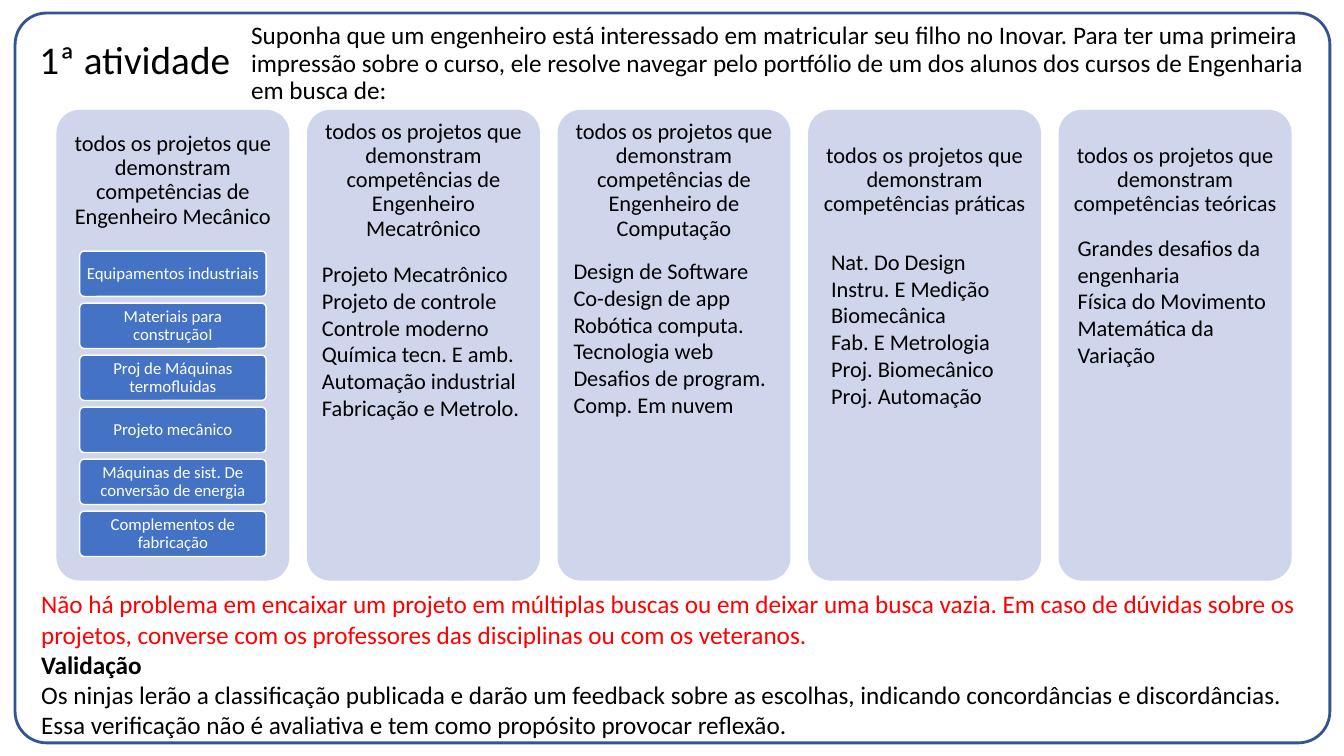
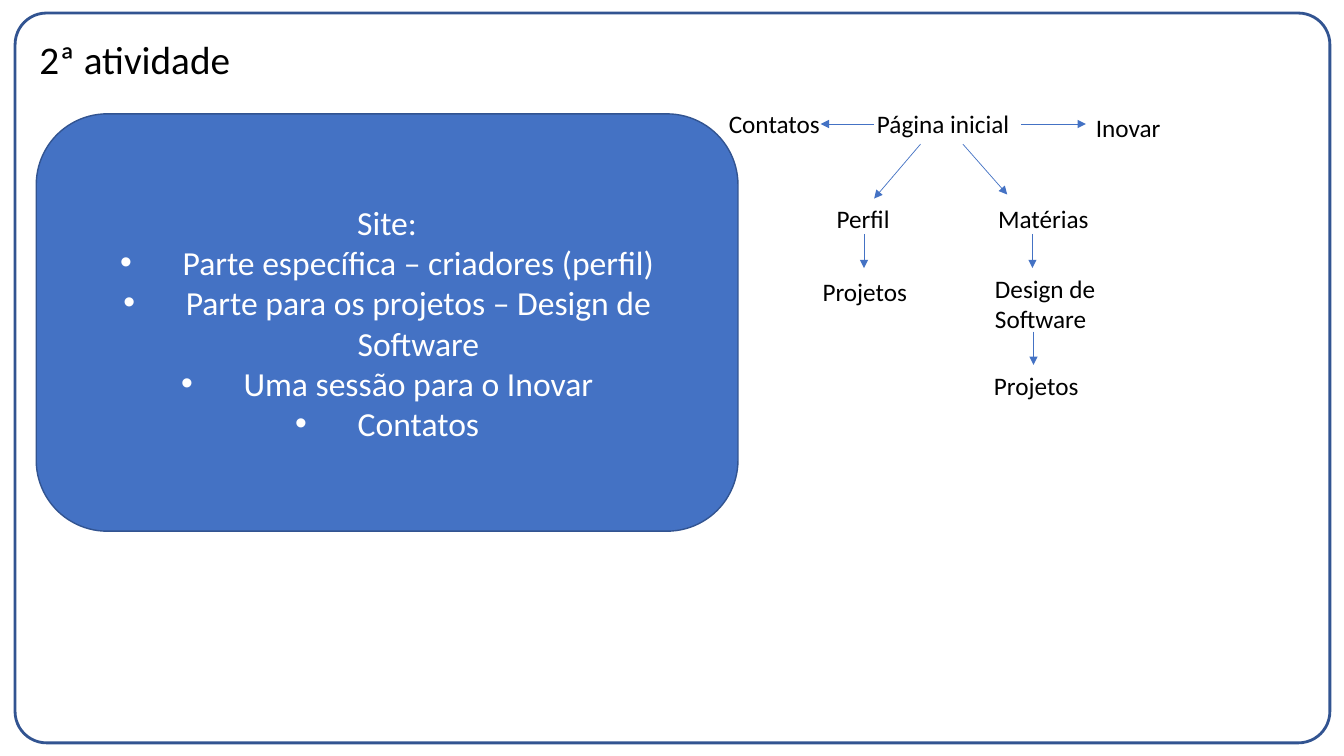
from dataclasses import dataclass
from lxml.etree import SubElement as Sub
from pptx import Presentation
from pptx.dml.color import RGBColor as Rgb
from pptx.enum.shapes import MSO_CONNECTOR as Link, MSO_SHAPE as Form
from pptx.enum.text import MSO_ANCHOR as Anchor, MSO_AUTO_SIZE as Fit, PP_ALIGN as Align
from pptx.oxml.ns import qn
from pptx.util import Inches, Pt


@dataclass(frozen=True)
class Theme:
    font: str = "Calibri"
    ink: Rgb = Rgb(0, 0, 0)
    white: Rgb = Rgb(255, 255, 255)
    red: Rgb = Rgb(255, 0, 0)
    blue: Rgb = Rgb(0x44, 0x72, 0xC4)
    navy: Rgb = Rgb(0x32, 0x54, 0x91)
    pale: Rgb = Rgb(0xCF, 0xD5, 0xEA)
    title: int = 28
    large: int = 24
    text: int = 18
    list: int = 16
    chip: int = 12


T = Theme()

INTRO = ("Suponha que um engenheiro está interessado em matricular seu filho no Inovar. "
         "Para ter uma primeira impressão sobre o curso, ele resolve navegar pelo portfólio "
         "de um dos alunos dos cursos de Engenharia em busca de:")
LEAD = "todos os projetos que demonstram competências "
CHIPS = ["Equipamentos industriais", "Materiais para construçãoI",
         "Proj de Máquinas termofluidas", "Projeto mecânico",
         "Máquinas de sist. De conversão de energia", "Complementos de fabricação"]
CARDS = [
    ("de Engenheiro Mecânico", None, []),
    ("de Engenheiro Mecatrônico", (0.05, 1.44),
     ["Projeto Mecatrônico", "Projeto de controle", "Controle moderno",
      "Química tecn. E amb.", "Automação industrial", "Fabricação e Metrolo."]),
    ("de Engenheiro de Computação", (0.06, 1.41),
     ["Design de Software", "Co-design de app", "Robótica computa.",
      "Tecnologia web", "Desafios de program.", "Comp. Em nuvem"]),
    ("práticas", (0.13, 1.32),
     ["Nat. Do Design", "Instru. E Medição", "Biomecânica",
      "Fab. E Metrologia", "Proj. Biomecânico", "Proj. Automação"]),
    ("teóricas", (0.09, 1.18),
     ["Grandes desafios da engenharia", "Física do Movimento", "Matemática da Variação"]),
]
NOTES = [
    "Não há problema em encaixar um projeto em múltiplas buscas ou em deixar uma busca vazia. "
    "Em caso de dúvidas sobre os projetos, converse com os professores das disciplinas "
    "ou com os veteranos.",
    "Validação",
    "Os ninjas lerão a classificação publicada e darão um feedback sobre as escolhas, indicando "
    "concordâncias e discordâncias. Essa verificação não é avaliativa e tem como propósito "
    "provocar reflexão.",
]
SITE = ["Site:", "Parte específica – criadores (perfil)",
        "Parte para os projetos – Design de Software",
        "Uma sessão para o Inovar", "Contatos"]
NODES = [
    ("Página inicial", 1.47, 0, 2.77, 0.4, True),
    ("Perfil", 1.07, 0.94, 0.73, 0.4, False),
    ("Matérias", 2.67, 0.94, 1.11, 0.4, False),
    ("Design de Software", 2.64, 1.63, 1.61, 0.71, True),
    ("Projetos", 2.63, 2.59, 1.61, 0.4, True),
    ("Projetos", 0.93, 1.66, 1.61, 0.4, True),
    ("Inovar", 3.64, 0.04, 0.84, 0.4, False),
    ("Contatos", 0, 0, 1.11, 0.4, False),
]
ARROWS = [
    (2, 0.4, 1.54, 0.94), (2.42, 0.4, 2.86, 0.9), (3.11, 1.29, 3.11, 1.63),
    (3.12, 2.26, 3.12, 2.59), (1.44, 1.29, 1.44, 1.63),
    (3, 0.2, 3.64, 0.2), (1.54, 0.2, 1.01, 0.2),
]


def place(shape, box):
    shape.left, shape.top, shape.width, shape.height = map(Inches, box)


def write(frame, lines, size, color, align=Align.LEFT, anchor=Anchor.TOP, pad=None, lead=None):
    frame.vertical_anchor = anchor
    if pad is not None:
        frame.margin_left = frame.margin_right = Inches(pad)
        frame.margin_top = frame.margin_bottom = Inches(pad)
    for i, line in enumerate(lines):
        para = frame.add_paragraph() if i else frame.paragraphs[0]
        para.text = line
        para.alignment = align
        para.line_spacing = lead
        para.font.name = T.font
        para.font.size = Pt(size)
        para.font.color.rgb = color
    return frame.paragraphs


def label(slide, box, lines, size, wrap=True, **style):
    shape = slide.shapes.add_textbox(*map(Inches, box))
    shape.text_frame.word_wrap = wrap
    if not wrap:
        shape.text_frame.auto_size = Fit.SHAPE_TO_FIT_TEXT
    return write(shape.text_frame, lines, size, T.ink, **style)


def panel(slide, box, fill, line=None, width=1, curve=0.1):
    shape = slide.shapes.add_shape(Form.ROUNDED_RECTANGLE, *map(Inches, box))
    shape.shadow.inherit = False
    shape.adjustments[0] = curve
    if fill is None:
        shape.fill.background()
    else:
        shape.fill.solid()
        shape.fill.fore_color.rgb = fill
    if line is None:
        shape.line.fill.background()
    else:
        shape.line.color.rgb = line
        shape.line.width = Pt(width)
    return shape


def bullet(para, sign=None, indent=0):
    props = para._p.get_or_add_pPr()
    props.set("marL", str(Inches(indent)))
    props.set("indent", str(-Inches(indent)))
    if sign:
        marks = [Sub(props, qn("a:buFont"), typeface="Arial"),
                 Sub(props, qn("a:buChar"), char=sign)]
    else:
        marks = [Sub(props, qn("a:buNone"))]
    base = props.find(qn("a:defRPr"))
    for mark in marks:
        base.addprevious(mark)


def arrow(slide, x1, y1, x2, y2):
    line = slide.shapes.add_connector(Link.STRAIGHT, *map(Inches, (x1, y1, x2, y2)))
    line.line.color.rgb = T.blue
    line.line.width = Pt(0.5)
    Sub(line.line._get_or_add_ln(), qn("a:tailEnd"), type="triangle")
    Sub(line.element.spPr, qn("a:effectLst"))


def border(deck, slide):
    frame = panel(slide, (0.15, 0.13, 13.04, 7.24), None, T.navy, 2, 0.043)
    frame.element.nvSpPr.cNvPr.set("id", "99")
    deck.slide_master.shapes.element.insert(2, frame.element)


def start(deck, kind, title):
    slide = deck.slides.add_slide(deck.slide_layouts[kind])
    head = slide.shapes.title
    place(head, (0.29, -0.11, 11.5, 1.45))
    write(head.text_frame, [title], T.title, T.ink, anchor=Anchor.MIDDLE, lead=0.9)
    return slide


def intro(slide, box):
    body = slide.placeholders[1]
    place(body, box)
    para, = write(body.text_frame, [INTRO], T.text, T.ink, lead=0.9)
    para.space_before = Pt(10)
    bullet(para)


def chips(slide, box):
    x, y, w, h = box
    tall = 0.45
    step = (h - tall) / (len(CHIPS) - 1)
    for i, name in enumerate(CHIPS):
        chip = panel(slide, (x, y + i * step, w, tall), T.blue, T.white)
        write(chip.text_frame, [name], T.chip, T.white, Align.CENTER, Anchor.MIDDLE, 0.04, 0.9)


def cards(slide, box):
    x, y, w, h = box
    wide = 2.31
    step = (w - wide) / (len(CARDS) - 1)
    for i, (skill, shift, names) in enumerate(CARDS):
        left = x + i * step
        panel(slide, (left, y, wide, h), T.pale)
        label(slide, (left, y, wide, 0.3 * h), [LEAD + skill], T.list,
              align=Align.CENTER, anchor=Anchor.MIDDLE, pad=0.07, lead=0.9)
        if names:
            dx, dy = shift
            label(slide, (left + dx, y + dy, 2.2, 1.75), names, T.list)
        else:
            chips(slide, (left + 0.23, y + 0.3 * h, 1.85, 3.03))


def notes(slide, box):
    warn, head, _ = label(slide, box, NOTES, T.text)
    warn.font.color.rgb = T.red
    head.font.bold = True


def site(slide, box):
    shape = panel(slide, box, T.blue, T.navy, curve=0.17)
    paras = write(shape.text_frame, SITE, T.large, T.white, Align.CENTER, Anchor.MIDDLE)
    for para in paras[1:]:
        bullet(para, "•", 0.62)


def tree(slide, x, y):
    for name, dx, dy, w, h, wrap in NODES:
        label(slide, (x + dx, y + dy, w, h), [name], T.text, wrap)
    for x1, y1, x2, y2 in ARROWS:
        arrow(slide, x + x1, y + y1, x + x2, y + y2)


def main():
    deck = Presentation()
    deck.slide_width, deck.slide_height = Inches(13.33), Inches(7.5)

    first = start(deck, 1, "1ª atividade")
    border(deck, first)
    intro(first, (2.39, 0.18, 10.78, 4.76))
    cards(first, (0.56, 1.09, 12.25, 4.67))
    notes(first, (0.31, 5.79, 12.86, 1.62))

    second = start(deck, 5, "2ª atividade")
    site(second, (0.36, 1.13, 6.96, 4.14))
    tree(second, 7.13, 1.03)

    deck.save("out.pptx")


if __name__ == "__main__":
    main()
